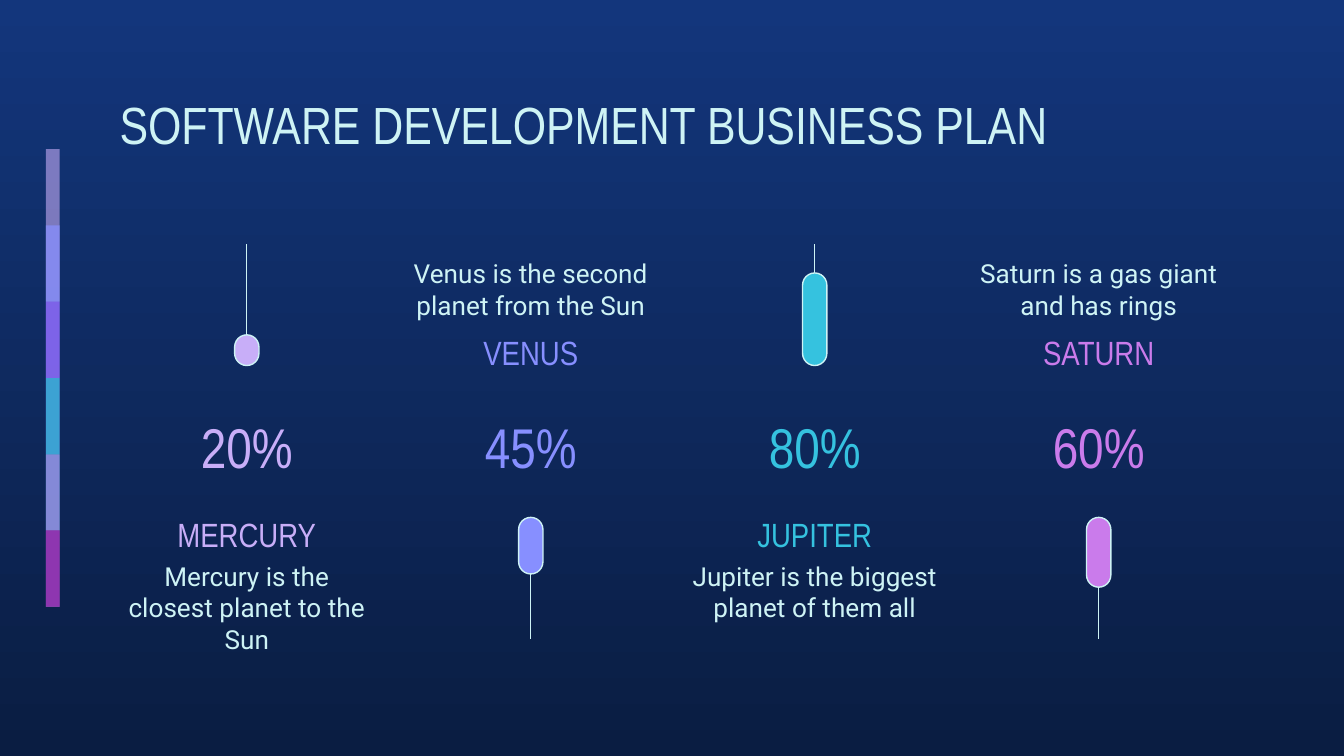
import dataclasses

import pptx
import pptx.dml.color
import pptx.enum.dml
import pptx.enum.shapes
import pptx.enum.text
import pptx.oxml.xmlchemy
import pptx.util

Cm = pptx.util.Cm
Pt = pptx.util.Pt
RGB = pptx.dml.color.RGBColor.from_string
SHAPE = pptx.enum.shapes.MSO_SHAPE
ANCHOR = pptx.enum.text.MSO_ANCHOR
ALIGN = pptx.enum.text.PP_ALIGN


@dataclasses.dataclass(frozen=True)
class Theme:
    """Colours, fonts and type sizes of the slide."""
    top: str = "13367C"
    bottom: str = "0A1D42"
    ink: str = "CEF3F5"
    lilac: str = "C8AEF8"
    blue: str = "878FFF"
    violet: str = "9154F8"
    cyan: str = "35C2DF"
    pink: str = "CA7BEB"
    purple: str = "972CB4"
    head: str = "Arial Narrow"
    body: str = "Roboto"
    title_size: int = 28
    value_size: int = 30
    name_size: int = 18
    body_size: int = 14
    line: float = 0.75


T = Theme()
STRIPES = [(T.lilac, 59), (T.blue, 74), (T.violet, 53),
           (T.cyan, 76), (T.pink, 56), (T.purple, 74)]
PLANETS = [
    ("MERCURY", "Mercury is the closest planet to the Sun", "20%", T.lilac, 0.58),
    ("VENUS", "Venus is the second planet from the Sun", "45%", T.blue, 1.07),
    ("JUPITER", "Jupiter is the biggest planet of them all", "80%", T.cyan, 1.75),
    ("SATURN", "Saturn is a gas giant and has rings", "60%", T.pink, 1.32),
]


def add_text(s, box, text, font, size, color, align=ALIGN.CENTER, anchor=ANCHOR.TOP):
    """Place one paragraph of text in a box given in centimetres."""
    tf = s.shapes.add_textbox(*map(Cm, box)).text_frame
    tf.word_wrap = True
    tf.vertical_anchor = anchor
    tf.margin_left = tf.margin_right = tf.margin_top = tf.margin_bottom = Cm(0.25)
    p = tf.paragraphs[0]
    p.text = text
    p.alignment = align
    p.font.name = font
    p.font.size = Pt(size)
    p.font.color.rgb = RGB(color)


def add_block(s, kind, box, color):
    """Place a filled shape without outline or shadow."""
    sp = s.shapes.add_shape(kind, *map(Cm, box))
    sp.shadow.inherit = False
    sp.fill.solid()
    sp.fill.fore_color.rgb = RGB(color)
    sp.line.fill.background()
    return sp


def set_background(s):
    """Fill the slide with a vertical gradient."""
    fill = s.background.fill
    fill.gradient()
    fill.gradient_angle = 270
    for stop, color in zip(fill.gradient_stops, (T.top, T.bottom)):
        stop.color.rgb = RGB(color)


def add_stripes(s, box):
    """Stack translucent bars, each overlapping half of the one before."""
    x, y, w, h = box
    step = h / len(STRIPES)
    for i, (color, opacity) in enumerate(STRIPES):
        top = y + i * step
        height = min(2 * step, y + h - top)
        sp = add_block(s, SHAPE.RECTANGLE, (x, top, w, height), color)
        alpha = pptx.oxml.xmlchemy.OxmlElement("a:alpha")
        alpha.set("val", str(opacity * 1000))
        sp.element.spPr.find(".//" + pptx.oxml.ns.qn("a:srgbClr")).append(alpha)


def add_gauge(s, box, color, length, upper):
    """Draw a pill at the inner end of a thin vertical track."""
    x, y, w, h = box
    top = y + h - length if upper else y
    pill = add_block(s, SHAPE.ROUNDED_RECTANGLE, (x, top, w, length), color)
    pill.adjustments[0] = 0.5
    mid, end = x + w / 2, y if upper else y + h
    track = s.shapes.add_connector(pptx.enum.shapes.MSO_CONNECTOR.STRAIGHT,
                                   Cm(mid), Cm(y), Cm(mid), Cm(end))
    track.begin_connect(pill, 2 if upper else 0)
    track.element.spPr.append(pptx.oxml.xmlchemy.OxmlElement("a:effectLst"))
    for line in (pill.line, track.line):
        line.color.rgb = RGB(T.ink)
        line.width = Pt(T.line)
    track.element.addnext(pill.element)


def add_planet(s, box, planet, upper):
    """Fill a column with a value, a gauge on one side and text on the other."""
    x, y, w, h = box
    name, note, value, color, length = planet
    name_y, note_y = (y + 4.78, y + 5.72) if upper else (y + 1.35, y)
    add_text(s, (x, name_y, w, 1.32), name, T.head, T.name_size, color,
             anchor=ANCHOR.BOTTOM)
    add_text(s, (x, note_y, w, 1.75), note, T.body, T.body_size, T.ink)
    add_text(s, (x, y + 2.95, w, 1.75), value, T.head, T.value_size, color,
             anchor=ANCHOR.BOTTOM)
    track = 2.29
    gauge_y = y if upper else y + h - track
    add_gauge(s, (x + w / 2 - 0.23, gauge_y, 0.46, track), color, length, upper)


def add_planets(s, box):
    """Spread the planet columns evenly, alternating their direction."""
    x, y, w, h = box
    col = 5.31
    pitch = (w - col) / (len(PLANETS) - 1)
    for i, planet in enumerate(PLANETS):
        add_planet(s, (x + i * pitch, y, col, h), planet, i % 2 == 0)


def main():
    """Build and save the slide."""
    prs = pptx.Presentation()
    prs.slide_width, prs.slide_height = Cm(25.4), Cm(14.29)
    s = prs.slides.add_slide(prs.slide_layouts[6])
    set_background(s)
    add_stripes(s, (0.87, 2.82, 0.26, 8.65))
    add_text(s, (2.01, 1.5, 21.41, 1.6), "SOFTWARE DEVELOPMENT BUSINESS PLAN",
             T.head, T.title_size, T.ink, ALIGN.LEFT)
    add_planets(s, (2.01, 4.62, 21.41, 7.45))
    prs.save("out.pptx")


if __name__ == "__main__":
    main()
